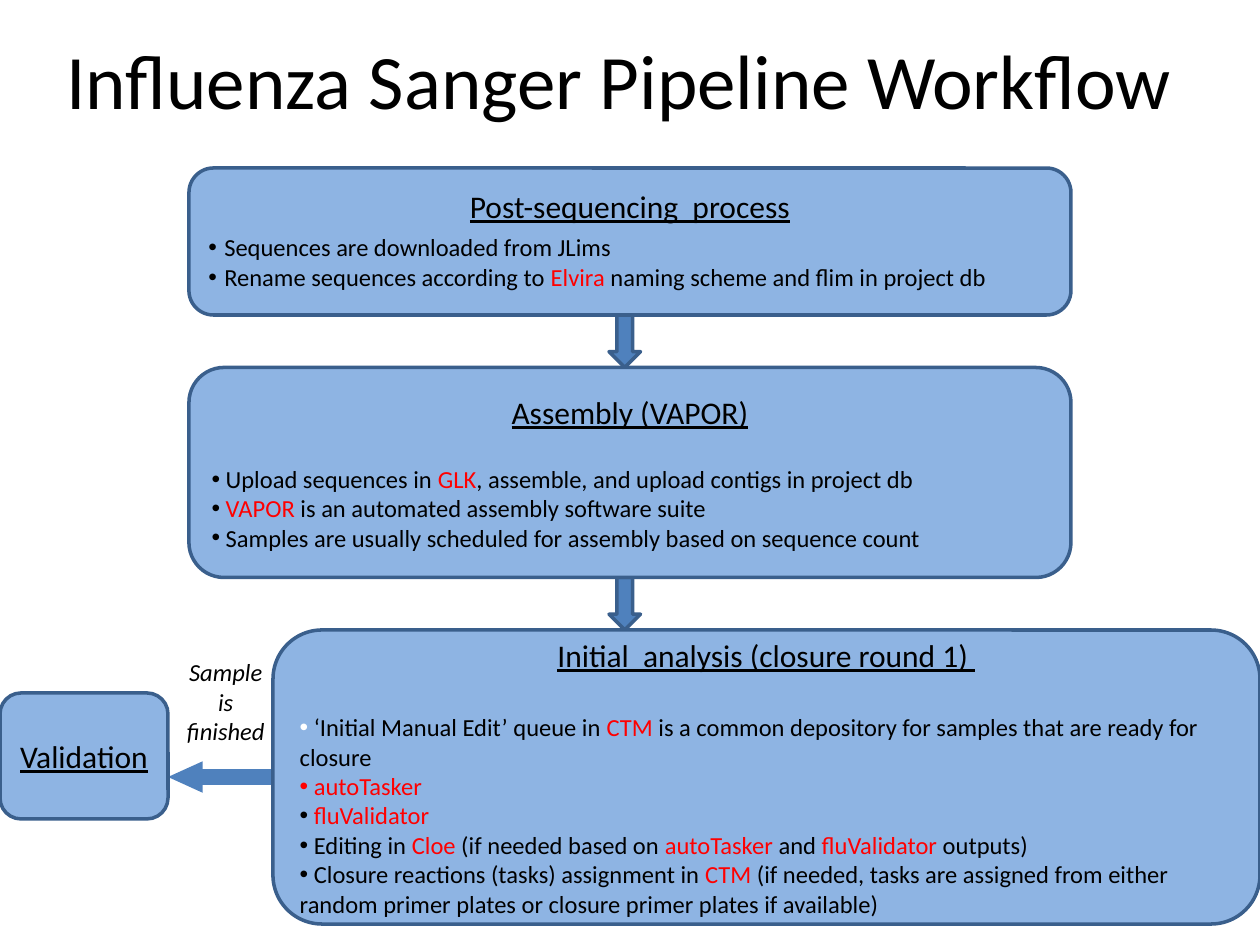
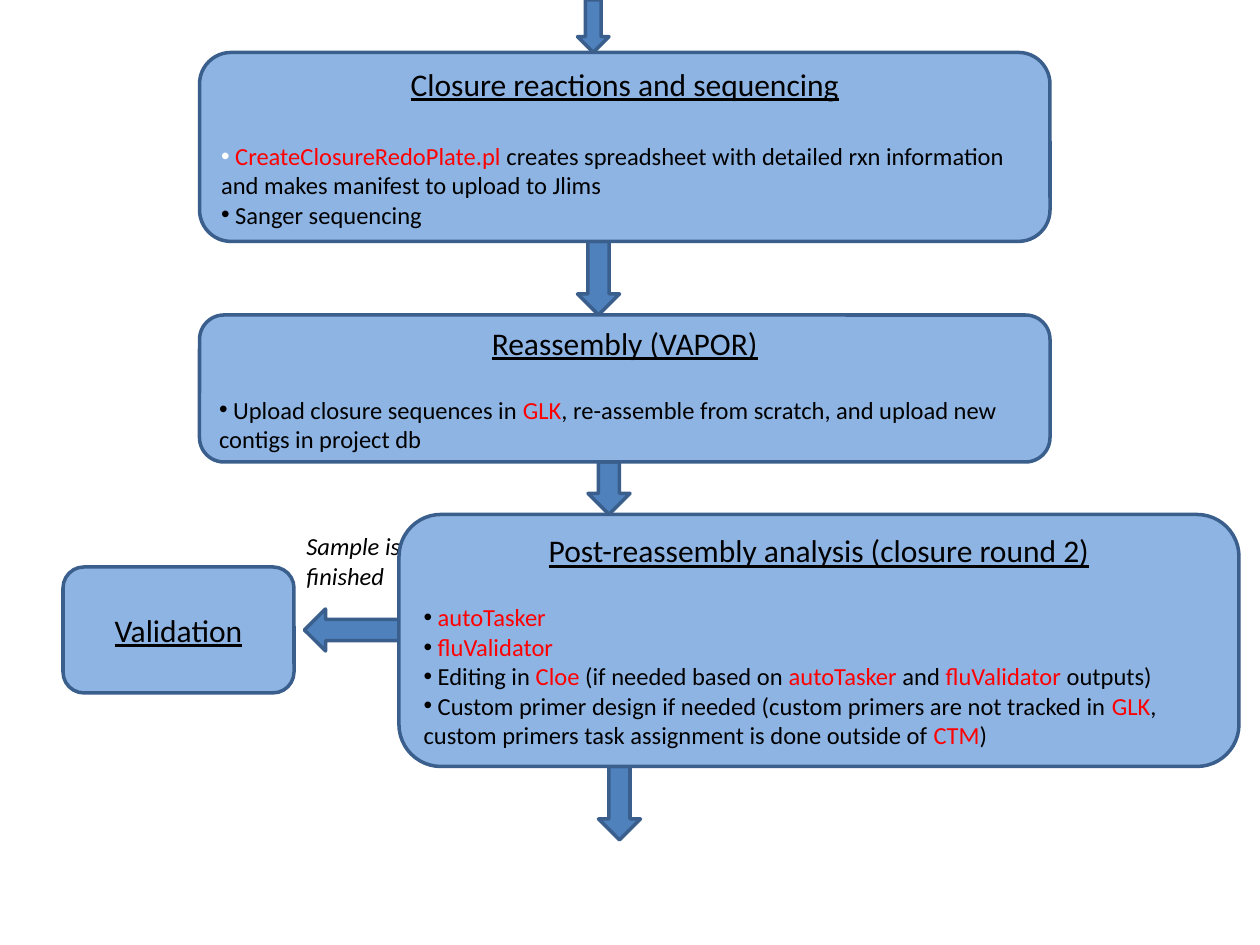
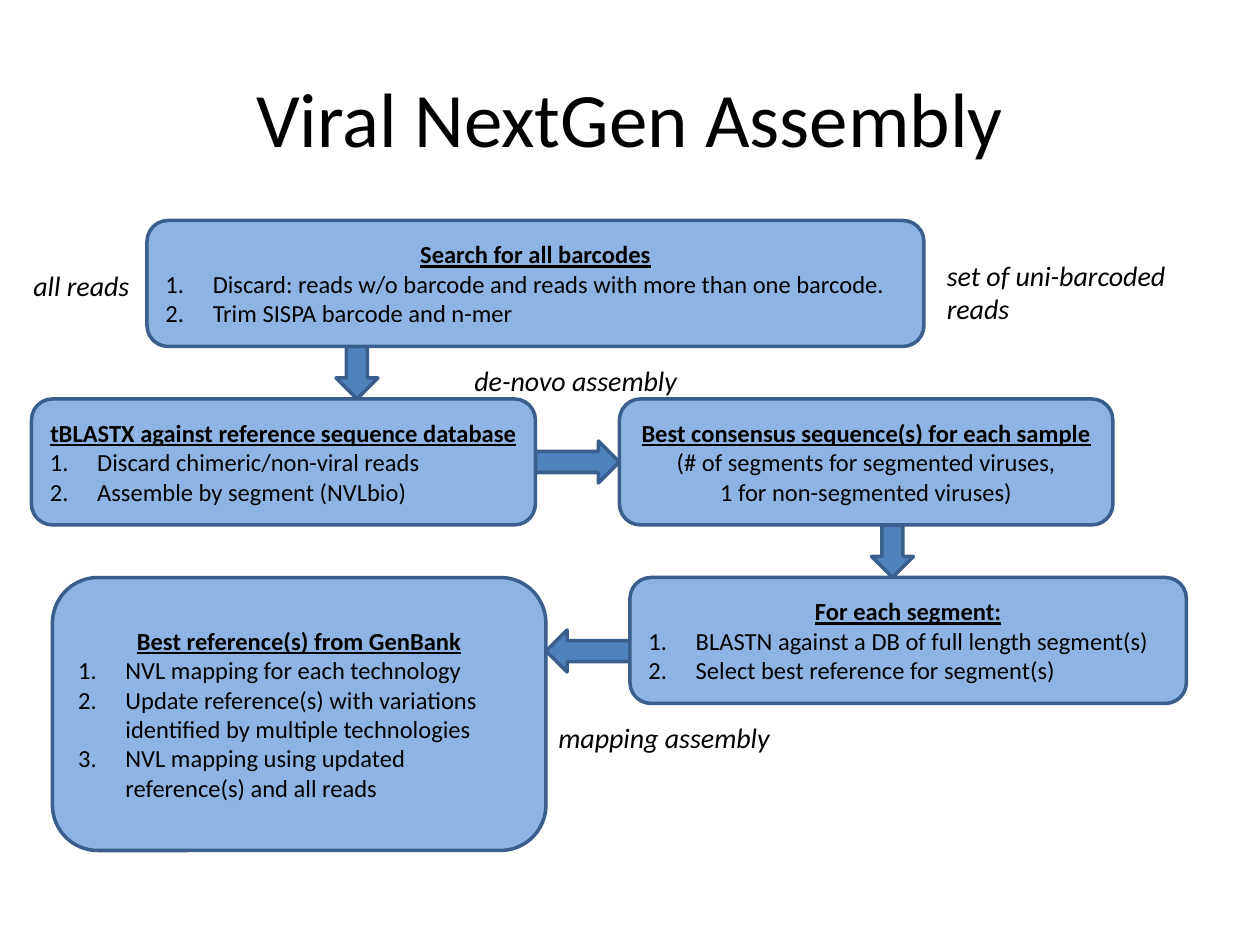
import pptx
import pptx.util
import pptx.dml.color
import pptx.enum.shapes
import pptx.enum.text
from dataclasses import dataclass
from lxml import etree

Pt = pptx.util.Pt
RGB = pptx.dml.color.RGBColor.from_string
Shapes = pptx.enum.shapes.MSO_SHAPE
Align = pptx.enum.text.PP_ALIGN
Anchor = pptx.enum.text.MSO_ANCHOR
AutoSize = pptx.enum.text.MSO_AUTO_SIZE


@dataclass
class Theme:
    font: str = "Calibri"
    ink: str = "000000"
    tool: str = "FF0000"
    pale: str = "FFFFFF"
    stage: str = "8EB4E3"
    arrow: str = "4F81BD"
    outline: str = "3A5F8C"
    title_size: int = 44
    heading_size: int = 18
    label_size: int = 16
    body_size: int = 14
    line_width: int = 2


theme = Theme()
LIST_INDENT = {"plain": 0, "inline": 0, "bulleted": 9, "numbered": 27}
K, R, W = theme.ink, theme.tool, theme.pale
DOWN, RIGHT, LEFT = Shapes.DOWN_ARROW, Shapes.RIGHT_ARROW, Shapes.LEFT_ARROW
EDITING = (K, " Editing in |Cloe| (if needed based on |autoTasker| and |fluValidator| outputs)")

# Stage: place, heading, space after heading, list style, (bullet colour, text with |tool names|)
# Arrow: shape, place, rotation
# Label: place, text, size, alignment, wrap
slides = [
    dict(
        title=("Influenza Sanger Pipeline Workflow", (30, 0, 648, 90)),
        arrows=[
            (LEFT, (96, 435, 60, 18), 0),
            (DOWN, (348, 180, 18, 30), 0),
            (DOWN, (348, 330, 18, 30), 0),
        ],
        labels=[((96, 372, 66, 58), "Sample is finished", theme.body_size, Align.CENTER, True)],
        stages=[
            ((0, 396, 96, 72), "Validation", 0, "plain", []),
            ((108, 96, 504, 84), "Post-sequencing  process", 6, "bulleted", [
                (K, "Sequences are downloaded from JLims"),
                (K, "Rename sequences according to |Elvira| naming scheme and flim in project db"),
            ]),
            ((108, 210, 504, 120), "Assembly (VAPOR)", 19, "inline", [
                (K, " Upload sequences in |GLK|, assemble, and upload contigs in project db"),
                (K, " |VAPOR| is an automated assembly software suite"),
                (K, " Samples are usually scheduled for assembly based on sequence count"),
            ]),
            ((156, 360, 564, 168), "Initial  analysis (closure round 1) ", 22, "inline", [
                (W, " ‘Initial Manual Edit’ queue in |CTM| is a common depository for samples "
                    "that are ready for closure"),
                (R, "| autoTasker"),
                (K, " |fluValidator"),
                EDITING,
                (K, " Closure reactions (tasks) assignment in |CTM| (if needed, tasks are assigned "
                    "from either random primer plates or closure primer plates if available)"),
            ]),
        ],
    ),
    dict(
        title=None,
        arrows=[
            (DOWN, (330, 0, 18, 30), 0),
            (DOWN, (330, 138, 24, 42), 0),
            (DOWN, (336, 264, 24, 30), 0),
            (DOWN, (342, 438, 24, 42), 0),
            (RIGHT, (174, 348, 54, 24), 180),
        ],
        labels=[((168, 300, 72, 41), "Sample is finished", theme.body_size, Align.LEFT, True)],
        stages=[
            ((114, 30, 486, 108), "Closure reactions and sequencing", 22, "inline", [
                (W, " |CreateClosureRedoPlate.pl| creates spreadsheet with detailed rxn information "
                    "and makes manifest to upload to Jlims"),
                (K, " Sanger sequencing"),
            ]),
            ((114, 180, 486, 84), "Reassembly (VAPOR)", 19, "inline", [
                (K, " Upload closure sequences in |GLK|, re-assemble from scratch, and upload new "
                    "contigs in project db"),
            ]),
            ((228, 294, 480, 144), "Post-reassembly analysis (closure round 2)", 19, "inline", [
                (K, " |autoTasker"),
                (K, " |fluValidator"),
                EDITING,
                (K, " Custom primer design if needed (custom primers are not tracked in |GLK|, "
                    "custom primers task assignment is done outside of |CTM|)"),
            ]),
            ((36, 324, 132, 72), "Validation", 0, "plain", []),
        ],
    ),
    dict(
        title=("Viral NextGen Assembly", (36, 21.6, 648, 90)),
        arrows=[
            (DOWN, (192, 198, 24, 30), 0),
            (RIGHT, (306, 252, 48, 24), 0),
            (DOWN, (498, 300, 24, 30), 0),
            (RIGHT, (312, 360, 48, 24), 180),
        ],
        labels=[
            ((12, 150, 70, 27), "all reads", theme.label_size, Align.LEFT, False),
            ((534, 144, 144, 46), "set of uni-barcoded reads", theme.label_size, Align.LEFT, True),
            ((264, 204, 132, 27), "de-novo assembly", theme.label_size, Align.LEFT, False),
            ((312, 408, 137, 27), "mapping assembly", theme.label_size, Align.LEFT, False),
        ],
        stages=[
            ((84, 126, 444, 72), "Search for all barcodes", 0, "numbered", [
                (K, "Discard: reads w/o barcode and reads with more than one barcode."),
                (K, "Trim SISPA barcode and n-mer"),
            ]),
            ((18, 228, 288, 72), "tBLASTX against reference sequence database", 0, "numbered", [
                (K, "Discard chimeric/non-viral reads"),
                (K, "Assemble by segment (NVLbio)"),
            ]),
            ((354, 228, 282, 72), "Best consensus sequence(s) for each sample", 0, "plain", [
                (K, "(# of segments for segmented viruses,"),
                (K, "1 for non-segmented viruses)"),
            ]),
            ((360, 330, 318, 72), "For each segment:", 0, "numbered", [
                (K, "BLASTN against a DB of full length segment(s)"),
                (K, "Select best reference for segment(s)"),
            ]),
            ((30, 330, 282, 156), "Best reference(s) from GenBank", 0, "numbered", [
                (K, "NVL mapping for each technology"),
                (K, "Update reference(s) with variations\nidentified by multiple technologies"),
                (K, "NVL mapping using updated\nreference(s) and all reads"),
            ]),
        ],
    ),
]


def write(paragraph, text, size, align, list_style="plain", bullet_colour=K):
    paragraph.alignment = align
    if list_style != "plain":
        properties = paragraph._p.get_or_add_pPr()
        indent = Pt(LIST_INDENT[list_style])
        properties.set("marL", str(indent))
        properties.set("indent", str(-indent))
        namespace = "{%s}" % properties.nsmap["a"]
        colour = etree.SubElement(properties, namespace + "buClr")
        etree.SubElement(colour, namespace + "srgbClr", val=bullet_colour)
        if list_style == "numbered":
            etree.SubElement(properties, namespace + "buAutoNum", type="arabicPeriod")
        else:
            etree.SubElement(properties, namespace + "buFont", typeface="Arial")
            etree.SubElement(properties, namespace + "buChar", char="•")
    font = paragraph.font
    font.name, font.size = theme.font, Pt(size)
    font.color.rgb = RGB(theme.ink)
    for row_index, row in enumerate(text.split("\n")):
        if row_index:
            paragraph.add_line_break()
        for piece_index, piece in enumerate(row.split("|")):
            if piece:
                run = paragraph.add_run()
                run.text = piece
                if piece_index % 2:
                    run.font.color.rgb = RGB(theme.tool)


def add_block(slide, preset, place, fill):
    block = slide.shapes.add_shape(preset, *map(Pt, place))
    block.shadow.inherit = False
    block.fill.solid()
    block.fill.fore_color.rgb = RGB(fill)
    block.line.color.rgb = RGB(theme.outline)
    block.line.width = Pt(theme.line_width)
    return block


deck = pptx.Presentation()
deck.slide_width, deck.slide_height = Pt(720), Pt(540)

for content in slides:
    slide = deck.slides.add_slide(deck.slide_layouts[5 if content["title"] else 6])
    if content["title"]:
        heading, place = content["title"]
        title = slide.shapes.title
        title.left, title.top, title.width, title.height = map(Pt, place)
        title.text_frame.vertical_anchor = Anchor.MIDDLE
        write(title.text_frame.paragraphs[0], heading, theme.title_size, Align.CENTER)

    for preset, place, rotation in content["arrows"]:
        arrow = add_block(slide, preset, place, theme.arrow)
        arrow.rotation = rotation
        if preset == LEFT:
            arrow.adjustments[1] = 1.1
            arrow.line.fill.background()

    for place, text, size, align, wrap in content["labels"]:
        label = slide.shapes.add_textbox(*map(Pt, place)).text_frame
        label.word_wrap = wrap
        label.auto_size = AutoSize.SHAPE_TO_FIT_TEXT
        write(label.paragraphs[0], text, size, align)
        label.paragraphs[0].font.italic = True

    for place, heading, gap, list_style, items in content["stages"]:
        stage = add_block(slide, Shapes.ROUNDED_RECTANGLE, place, theme.stage).text_frame
        stage.word_wrap = True
        stage.vertical_anchor = Anchor.MIDDLE
        compact = bool(items) and gap == 0
        first = stage.paragraphs[0]
        write(first, heading, theme.body_size if compact else theme.heading_size, Align.CENTER)
        first.font.underline = True
        first.font.bold = compact
        first.space_after = Pt(gap)
        item_align = Align.CENTER if list_style == "plain" else Align.LEFT
        for bullet_colour, text in items:
            item = stage.add_paragraph()
            write(item, text, theme.body_size, item_align, list_style, bullet_colour)
            if list_style == "bulleted":
                item.space_after = Pt(2)
        if list_style == "bulleted":
            for paragraph in stage.paragraphs:
                paragraph.line_spacing = 0.9

deck.save("out.pptx")
